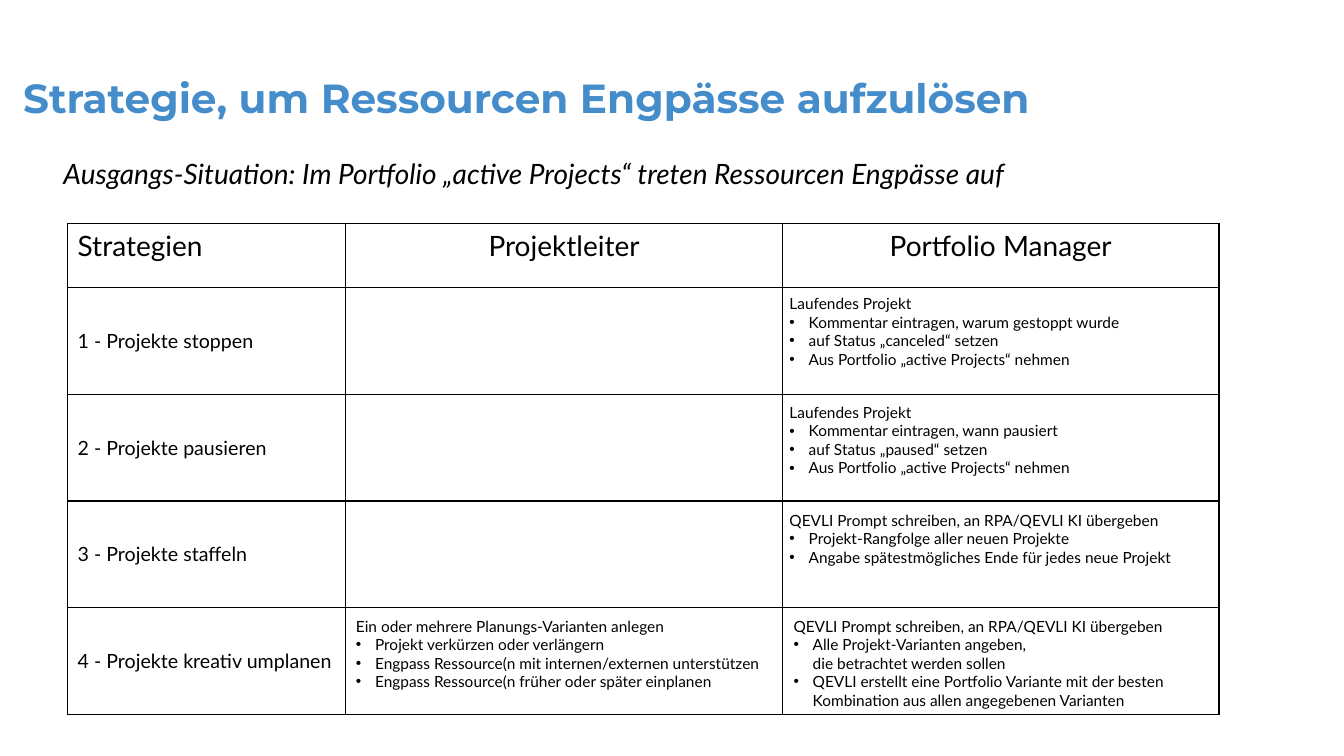
import pptx
import pptx.dml.color
import pptx.enum.text
import pptx.oxml
import pptx.oxml.ns
import pptx.util

PX = 9144  # EMU, 100 px to the inch
BLUE = pptx.dml.color.RGBColor(0x45, 0x8C, 0xCB)
BLACK = pptx.dml.color.RGBColor(0, 0, 0)
BODY_FONT = "Lato"
TITLE_FONT = "Montserrat"
ALIGN = pptx.enum.text.PP_ALIGN
ANCHOR = pptx.enum.text.MSO_ANCHOR

HEADINGS = ["Strategien", "Projektleiter", "Portfolio Manager"]
STRATEGIES = [
    "1 - Projekte stoppen",
    "2 - Projekte pausieren",
    "3 - Projekte staffeln",
    "4 - Projekte kreativ umplanen",
]
COLUMN_WIDTHS = [276, 433, 433]
HEADER_HEIGHT, ROW_HEIGHT = 63, 106

RUNNING = "Laufendes Projekt"
REMOVE = "Aus Portfolio „active Projects“ nehmen"
PROMPT = "QEVLI Prompt schreiben, an RPA/QEVLI KI übergeben"
# Box (left, top, width, height), lead line, bullets
NOTES = [
    ((778, 287, 349, 103), RUNNING,
     ["Kommentar eintragen, warum gestoppt wurde", "auf Status „canceled“ setzen", REMOVE]),
    ((778, 395, 302, 103), RUNNING,
     ["Kommentar eintragen, wann pausiert", "auf Status „paused“ setzen", REMOVE]),
    ((778, 502, 405, 66), PROMPT,
     ["Projekt-Rangfolge aller neuen Projekte",
      "Angabe spätestmögliches Ende für jedes neue Projekt"]),
    ((348, 607, 425, 84), "Ein oder mehrere Planungs-Varianten anlegen",
     ["Projekt verkürzen oder verlängern",
      "Engpass Ressource(n mit internen/externen unterstützen",
      "Engpass Ressource(n früher oder später einplanen"]),
    ((782, 607, 398, 103), PROMPT,
     ["Alle Projekt-Varianten angeben,\ndie betrachtet werden sollen",
      "QEVLI erstellt eine Portfolio Variante mit der besten\n"
      "Kombination aus allen angegebenen Varianten"]),
]


def px(length):
    return pptx.util.Emu(length * PX)


def add_text(paragraph, text, size, font=BODY_FONT, color=BLACK, bold=False, italic=False):
    """Add one run per line, with line breaks between them."""
    for index, line in enumerate(text.split("\n")):
        if index:
            paragraph.add_line_break()
        run = paragraph.add_run()
        run.text = line
        run.font.size = pptx.util.Pt(size)
        run.font.name = font
        run.font.color.rgb = color
        run.font.bold = bold
        run.font.italic = italic


def add_box(slide, box, inset):
    frame = slide.shapes.add_textbox(*map(px, box)).text_frame
    frame.margin_left = frame.margin_top = px(inset)
    frame.margin_right = frame.margin_bottom = px(inset)
    return frame


def add_growing_box(slide, box):
    frame = add_box(slide, box, 5)
    frame.word_wrap = False
    frame.auto_size = pptx.enum.text.MSO_AUTO_SIZE.SHAPE_TO_FIT_TEXT
    return frame


def set_bullet(paragraph):
    properties = paragraph._p.get_or_add_pPr()
    properties.set("marL", str(px(19)))
    properties.set("indent", str(px(-19)))
    namespace = pptx.oxml.ns.nsdecls("a")
    for xml in (f'<a:buFont {namespace} typeface="Arial"/>', f'<a:buChar {namespace} char="•"/>'):
        properties.append(pptx.oxml.parse_xml(xml))


def add_note(slide, box, lead, bullets):
    frame = add_growing_box(slide, box)
    add_text(frame.paragraphs[0], lead, 11)
    for bullet in bullets:
        paragraph = frame.add_paragraph()
        set_bullet(paragraph)
        add_text(paragraph, bullet, 11)


def style_cell(cell):
    """Give the cell no fill and thin black borders."""
    properties = cell._tc.get_or_add_tcPr()
    for side in ("lnL", "lnR", "lnT", "lnB"):
        properties.append(pptx.oxml.parse_xml(
            f'<a:{side} {pptx.oxml.ns.nsdecls("a")} w="{pptx.util.Pt(1)}">'
            f'<a:solidFill><a:srgbClr val="{BLACK}"/></a:solidFill></a:{side}>'))
    cell.fill.background()


def add_strategy_table(slide):
    rows, columns = len(STRATEGIES) + 1, len(HEADINGS)
    height = HEADER_HEIGHT + ROW_HEIGHT * len(STRATEGIES)
    table = slide.shapes.add_table(
        rows, columns, px(67), px(222), px(sum(COLUMN_WIDTHS)), px(height)).table
    table.first_row = table.horz_banding = False
    for column, width in zip(table.columns, COLUMN_WIDTHS):
        column.width = px(width)
    for index, row in enumerate(table.rows):
        row.height = px(ROW_HEIGHT if index else HEADER_HEIGHT)
    for cell in table.iter_cells():
        style_cell(cell)
    for index, heading in enumerate(HEADINGS):
        paragraph = table.cell(0, index).text_frame.paragraphs[0]
        paragraph.alignment = ALIGN.CENTER if index else ALIGN.LEFT
        add_text(paragraph, heading, 20)
    for index, strategy in enumerate(STRATEGIES, 1):
        cell = table.cell(index, 0)
        cell.vertical_anchor = ANCHOR.MIDDLE
        add_text(cell.text_frame.paragraphs[0], strategy, 14)


def main():
    presentation = pptx.Presentation()
    presentation.slide_width = pptx.util.Inches(13.33)
    presentation.slide_height = pptx.util.Inches(7.5)
    slide = presentation.slides.add_slide(presentation.slide_layouts[6])

    title = add_box(slide, (23, 15, 1083, 106), 0)
    title.word_wrap = True
    title.vertical_anchor = ANCHOR.BOTTOM
    add_text(title.paragraphs[0], "Strategie, um Ressourcen Engpässe aufzulösen",
             29, TITLE_FONT, BLUE, bold=True)

    add_strategy_table(slide)

    situation = add_growing_box(slide, (58, 150, 1047, 44))
    add_text(situation.paragraphs[0],
             "Ausgangs-Situation: Im Portfolio „active Projects“ treten Ressourcen Engpässe auf",
             20, italic=True)

    for box, lead, bullets in NOTES:
        add_note(slide, box, lead, bullets)

    presentation.save("out.pptx")


if __name__ == "__main__":
    main()
